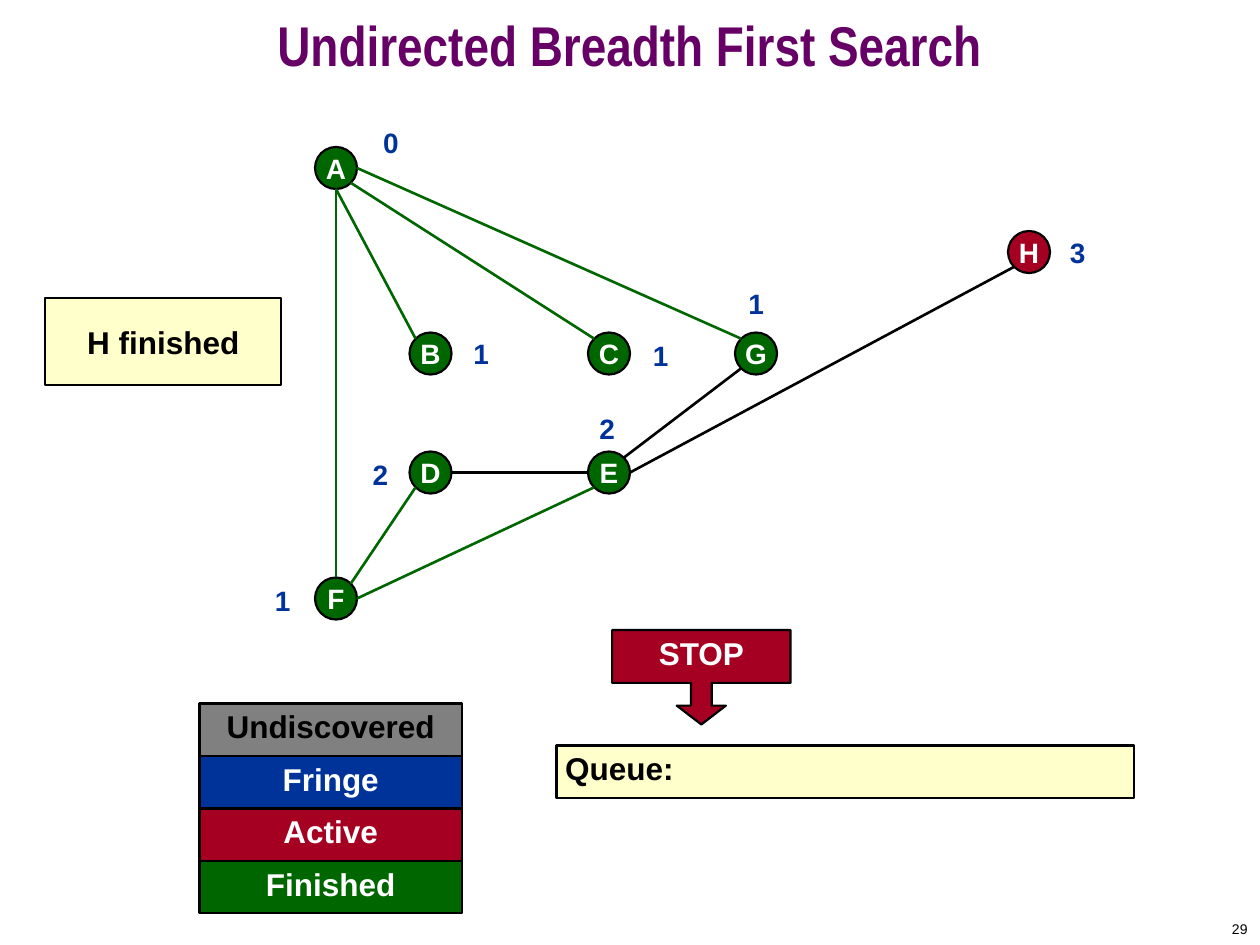
from math import cos, radians, sin

from lxml import etree
from pptx import Presentation
from pptx import util as u
from pptx.dml.color import RGBColor
from pptx.enum import shapes, text
from pptx.oxml.ns import qn

BLACK = RGBColor(0x00, 0x00, 0x00)
WHITE = RGBColor(0xFF, 0xFF, 0xFF)
PURPLE = RGBColor(0x66, 0x00, 0x66)
GREEN = RGBColor(0x00, 0x66, 0x00)
RED = RGBColor(0xA5, 0x00, 0x21)
BLUE = RGBColor(0x00, 0x33, 0x99)
GREY = RGBColor(0x80, 0x80, 0x80)
CREAM = RGBColor(0xFF, 0xFF, 0xCC)

SHAPE = shapes.MSO_SHAPE
LEFT, CENTER, RIGHT = text.PP_ALIGN.LEFT, text.PP_ALIGN.CENTER, text.PP_ALIGN.RIGHT
TOP, MIDDLE = text.MSO_ANCHOR.TOP, text.MSO_ANCHOR.MIDDLE

NODE = 4  # node diameter in grid cells
# Clockwise angle on a node's outline, 0 pointing right
ANGLES = {"E": 0, "SE": 45, "S": 90, "SW": 135, "W": 180, "NW": 225, "N": 270, "NE": 315}

# name: column, row, fill, distance, offset of the distance label
NODES = {
    "A": (30, 14, GREEN, "0", (5.3, -2)),
    "B": (39, 31.67, GREEN, "1", (4.9, 0.4)),
    "C": (56, 31.67, GREEN, "1", (5, 0.6)),
    "D": (39, 43, GREEN, "2", (-4.7, 0.6)),
    "E": (56, 43, GREEN, "2", (-0.1, -3.8)),
    "F": (30, 55, GREEN, "1", (-5, 0.6)),
    "G": (70, 31.67, GREEN, "1", (0.1, -4.4)),
    "H": (96, 22, RED, "3", (4.7, 0.4)),
}
EDGES = [
    ("F", "N", "A", "S", GREEN),
    ("A", "SE", "C", "NW", GREEN),
    ("A", "E", "G", "NW", GREEN),
    ("A", "S", "B", "NW", GREEN),
    ("E", "W", "D", "E", BLACK),
    ("E", "SW", "F", "E", GREEN),
    ("F", "NE", "D", "SW", GREEN),
    ("E", "NE", "G", "SW", BLACK),
    ("E", "E", "H", "SW", BLACK),
]
LEGEND = [("Undiscovered", GREY, BLACK), ("Fringe", BLUE, WHITE),
          ("Active", RED, WHITE), ("Finished", GREEN, WHITE)]


class Board:
    """Draws on one slide, on a grid of 120 columns by 90 rows."""

    font = "Arial"
    cell = u.Inches(1) / 12
    outline = u.Pt(1.25)
    edge_width = u.Pt(1.5)

    def __init__(self, page):
        self.page = page

    def grid(self, *cells):
        return [round(value * self.cell) for value in cells]

    def set_words(self, box, words, size, color, align=CENTER, anchor=MIDDLE,
                  insets=(0.1, 0.05, 0.1, 0.05), wrap=True, bold=True, font=None):
        frame = box.text_frame
        frame.text = words
        frame.word_wrap = wrap
        frame.vertical_anchor = anchor
        (frame.margin_left, frame.margin_top,
         frame.margin_right, frame.margin_bottom) = map(u.Inches, insets)
        para = frame.paragraphs[0]
        para.alignment = align
        span = para.runs[0].font
        span.name, span.size, span.bold = font or self.font, u.Pt(size), bold
        span.color.rgb = color
        return para

    def title(self, words):
        box = self.page.shapes.title
        box.left, box.top, box.width, box.height = self.grid(0, 0, 120, 10)
        para = self.set_words(box, words, 32, PURPLE, font="Arial Narrow")
        para.line_spacing = 0.7

    def shape(self, kind, place, fill, words, size, color, **style):
        box = self.page.shapes.add_shape(kind, *self.grid(*place))
        box.shadow.inherit = False
        box.fill.solid()
        box.fill.fore_color.rgb = fill
        box.line.color.rgb = BLACK
        box.line.width = self.outline
        self.set_words(box, words, size, color, **style)
        return box

    def bar(self, place, fill, words, color, align=CENTER):
        self.shape(SHAPE.RECTANGLE, place, fill, words, 18, color,
                   align=align, anchor=TOP, insets=(0, 0.03, 0, 0))

    def label(self, place, words, size, color, **style):
        box = self.page.shapes.add_textbox(*self.grid(*place))
        self.set_words(box, words, size, color, **style)

    def node(self, name):
        column, row, fill, distance, (across, down) = NODES[name]
        self.shape(SHAPE.OVAL, (column, row, NODE, NODE), fill, name, 16, WHITE, wrap=False)
        self.label((column + across, row + down, 3.84, 3.24), distance, 16, BLUE,
                   anchor=TOP, insets=(0, 0, 0, 0))

    def rim(self, name, side):
        column, row = NODES[name][:2]
        angle, radius = radians(ANGLES[side]), NODE / 2
        return self.grid(column + radius * (1 + cos(angle)), row + radius * (1 + sin(angle)))

    def edge(self, start, start_side, end, end_side, color):
        line = self.page.shapes.add_connector(
            shapes.MSO_CONNECTOR.STRAIGHT,
            *self.rim(start, start_side), *self.rim(end, end_side))
        line.line.color.rgb = color
        line.line.width = self.edge_width
        etree.SubElement(line._element.spPr, qn("a:effectLst"))


def main():
    deck = Presentation()
    deck.slide_width, deck.slide_height = u.Inches(10), u.Inches(7.5)
    board = Board(deck.slides.add_slide(deck.slide_layouts[5]))
    board.title("Undirected Breadth First Search")

    # Graph with the distance of each node
    for name in NODES:
        board.node(name)
    for edge in EDGES:
        board.edge(*edge)

    # Legend of node states
    for index, (state, fill, color) in enumerate(LEGEND):
        board.bar((19, 67 + 5 * index, 25, 5), fill, state, color)

    # Queue and the stop sign above it
    board.bar((53, 71, 55, 5), CREAM, " Queue:", BLACK, align=LEFT)
    stop = board.shape(SHAPE.DOWN_ARROW_CALLOUT, (58.3, 60, 17, 9), RED, "STOP", 18, WHITE,
                       insets=(0.1, 0.05, 0.1, 0.1), wrap=False)
    for index, value in enumerate((0.22, 0.26, 0.2, 0.56)):
        stop.adjustments[index] = value

    # Current step and slide number
    board.shape(SHAPE.RECTANGLE, (4.3, 28.4, 22.5, 8.3), CREAM, "H finished", 18, BLACK,
                wrap=False)
    board.label((95, 87, 25, 3), "29", 8, BLACK, align=RIGHT, bold=False)

    deck.save("out.pptx")


if __name__ == "__main__":
    main()
